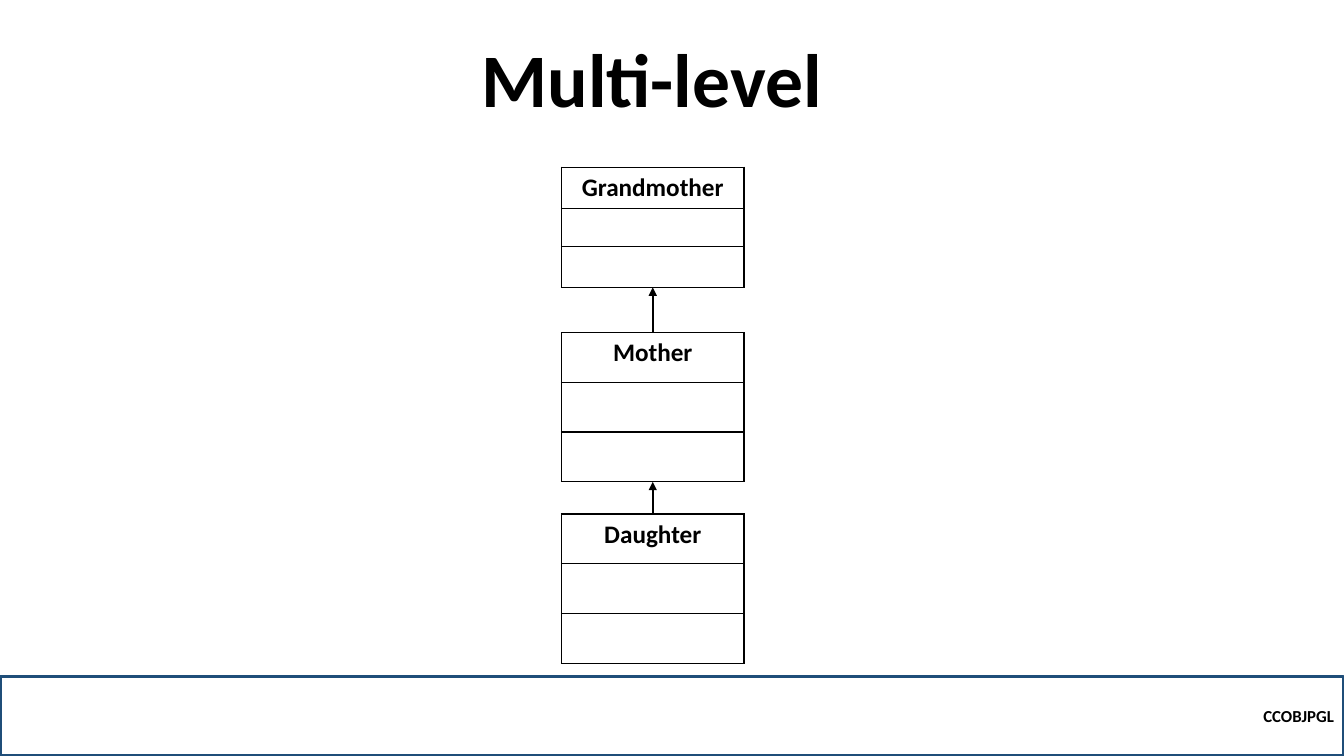
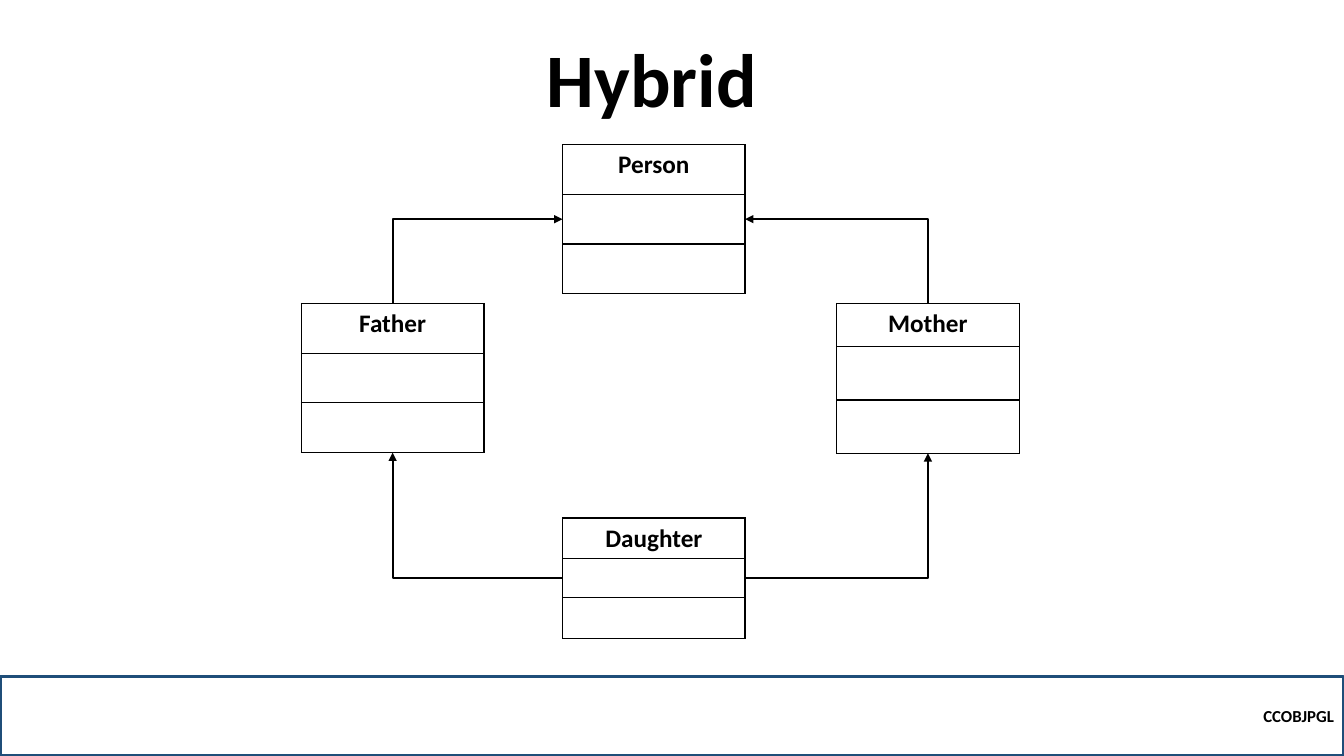
from lxml import etree
from pptx import Presentation
from pptx.dml.color import RGBColor
from pptx.enum.shapes import MSO_CONNECTOR, MSO_SHAPE
from pptx.enum.text import MSO_ANCHOR, PP_ALIGN
from pptx.oxml.ns import qn
from pptx.util import Inches, Pt

STRAIGHT, ELBOW = MSO_CONNECTOR.STRAIGHT, MSO_CONNECTOR.ELBOW
RECT = MSO_SHAPE.RECTANGLE
MIDDLE, BOTTOM_ANCHOR = MSO_ANCHOR.MIDDLE, MSO_ANCHOR.BOTTOM
CENTER, RIGHT_ALIGN = PP_ALIGN.CENTER, PP_ALIGN.RIGHT
TOP, LEFT, BOTTOM, RIGHT = range(4)

EVEN = (6.58, 6.58, 6.58)
COMPACT = (5.4, 5.1, 5.4)
SHORT_HEAD = (5.73, 7.05, 7.05)


def rgb(value):
    return RGBColor.from_string(value)


def write(tf, text, size, align=CENTER, color="000000", spacing=None):
    p = tf.paragraphs[0]
    p.alignment = align
    if spacing:
        p.line_spacing = spacing
    r = p.add_run()
    r.text = text
    r.font.name, r.font.size, r.font.bold = "Calibri", Pt(size), True
    r.font.color.rgb = rgb(color)


class Deck:
    """Slides of class diagrams, placed by percent of the slide's size."""

    INK, BAND = "000000", "1F4E79"
    BOX_WIDTH = 13.58

    def __init__(self):
        self.prs = Presentation()
        self.prs.slide_width, self.prs.slide_height = Inches(13.33), Inches(7.5)

    def x(self, share):
        return round(self.prs.slide_width * share / 100)

    def y(self, share):
        return round(self.prs.slide_height * share / 100)

    def area(self, left, top, width, height):
        return self.x(left), self.y(top), self.x(width), self.y(height)

    def slide(self, title):
        self.s = self.prs.slides.add_slide(self.prs.slide_layouts[6])
        self.title(title)
        self.footer("CCOBJPGL")

    def title(self, text):
        tf = self.s.shapes.add_textbox(*self.area(11, 6.5, 75, 10.53)).text_frame
        tf.word_wrap = True
        tf.vertical_anchor = BOTTOM_ANCHOR
        write(tf, text, 54, spacing=0.9)

    def footer(self, text):
        sp = self.s.shapes.add_shape(RECT, *self.area(0, 89.47, 100, 10.53))
        sp.shadow.inherit = False
        sp.fill.background()
        sp.line.color.rgb = rgb(self.BAND)
        sp.line.width = Pt(2.25)
        sp.text_frame.vertical_anchor = MIDDLE
        write(sp.text_frame, text, 12, RIGHT_ALIGN)

    def class_box(self, name, left, top, rows=EVEN):
        area = self.area(left, top, self.BOX_WIDTH, sum(rows))
        frame = self.s.shapes.add_table(len(rows), 1, *area)
        table = frame.table
        table.first_row = table.horz_banding = False
        for i, height in enumerate(rows):
            table.rows[i].height = self.y(height)
            cell = table.cell(i, 0)
            cell.fill.background()
            self.borders(cell)
            if i:
                cell.margin_top = cell.margin_bottom = 0
        write(table.cell(0, 0).text_frame, name, 18)
        return frame

    def borders(self, cell):
        tcPr = cell._tc.get_or_add_tcPr()
        for i, side in enumerate(("lnL", "lnR", "lnT", "lnB")):
            ln = etree.Element(qn(f"a:{side}"), w=str(Pt(1)))
            fill = etree.SubElement(ln, qn("a:solidFill"))
            etree.SubElement(fill, qn("a:srgbClr"), val=self.INK)
            tcPr.insert(i, ln)

    def arrow(self, start, start_side, end, end_side, kind=STRAIGHT, tip="tailEnd"):
        cxn = self.s.shapes.add_connector(kind, 0, 0, 0, 0)
        cxn.begin_connect(start, start_side)
        cxn.end_connect(end, end_side)
        cxn.line.color.rgb = rgb(self.INK)
        cxn.line.width = Pt(1.5)
        spPr = cxn._element.spPr
        if kind == ELBOW:
            spPr.find(qn("a:prstGeom")).set("prst", "bentConnector2")
        etree.SubElement(spPr.find(qn("a:ln")), qn(f"a:{tip}"), type="triangle")
        etree.SubElement(spPr, qn("a:effectLst"))


def multi_level(deck):
    deck.slide("Multi-level")
    grandmother = deck.class_box("Grandmother", 41.78, 22.13, COMPACT)
    mother = deck.class_box("Mother", 41.78, 44)
    daughter = deck.class_box("Daughter", 41.78, 68)
    for child, parent in ((mother, grandmother), (daughter, mother)):
        deck.arrow(child, TOP, parent, BOTTOM)


def hybrid(deck):
    deck.slide("Hybrid")
    person = deck.class_box("Person", 41.86, 19.13)
    daughter = deck.class_box("Daughter", 41.86, 68.53, COMPACT)
    father = deck.class_box("Father", 22.43, 40.13)
    mother = deck.class_box("Mother", 62.25, 40.13, SHORT_HEAD)
    for parent, side in ((father, LEFT), (mother, RIGHT)):
        deck.arrow(daughter, side, parent, BOTTOM, ELBOW)
        deck.arrow(person, side, parent, TOP, ELBOW, tip="headEnd")


def main():
    deck = Deck()
    multi_level(deck)
    hybrid(deck)
    deck.prs.save("out.pptx")


if __name__ == "__main__":
    main()
